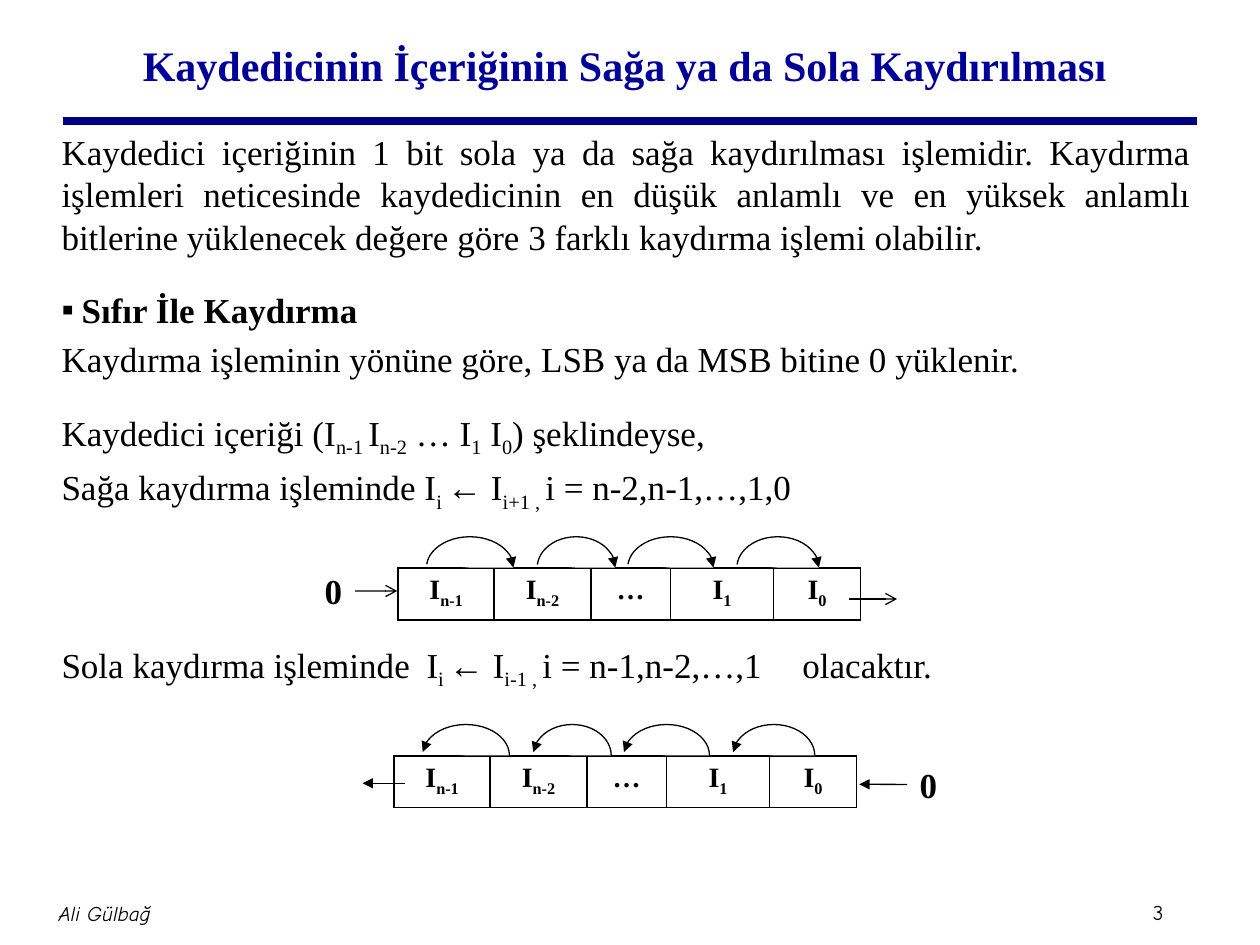
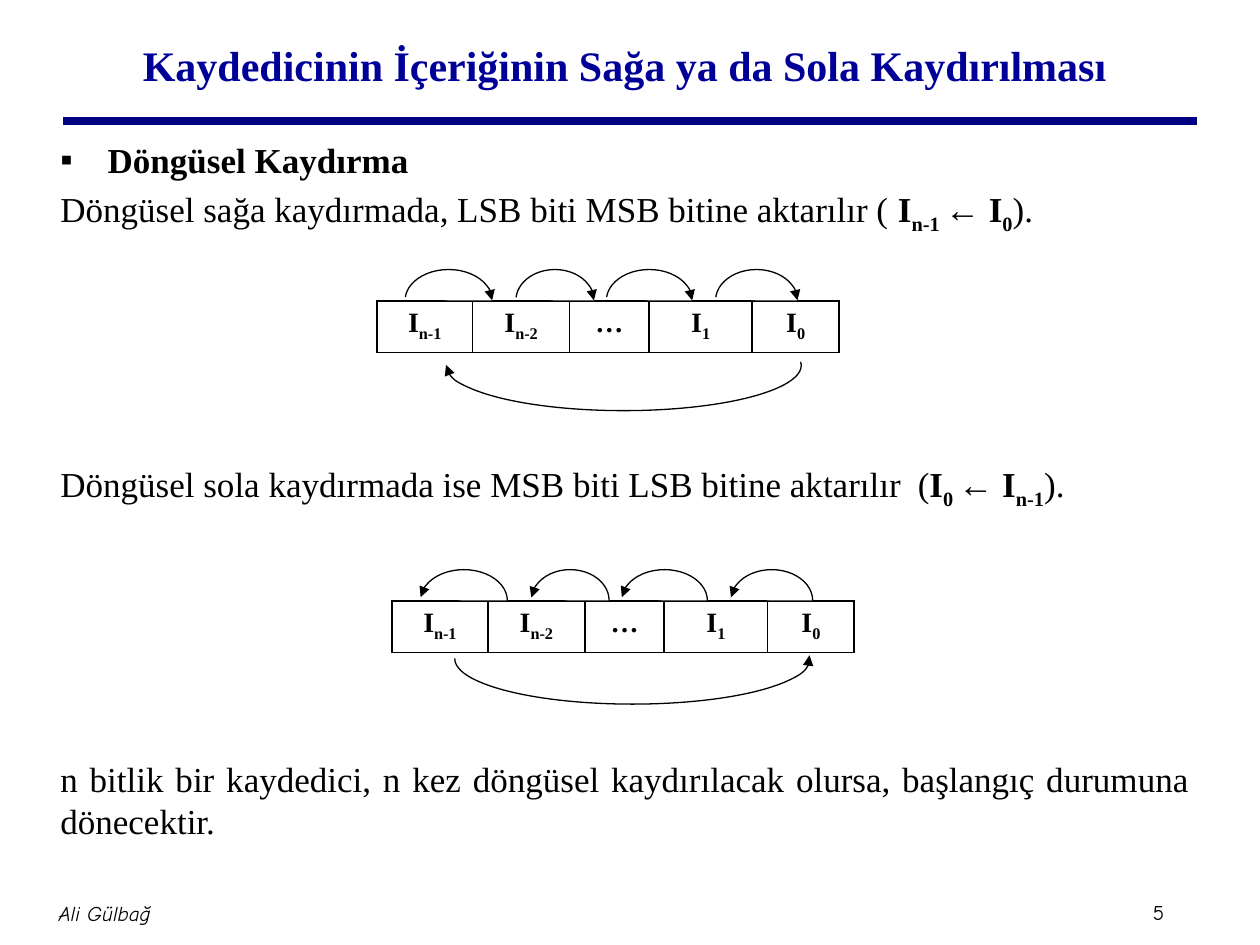
from dataclasses import dataclass
from itertools import accumulate

from lxml import etree
from pptx import Presentation
from pptx.dml import color
from pptx.enum import shapes, text
from pptx.oxml import ns
from pptx.util import Pt

RGB = color.RGBColor.from_string
ALIGN = text.PP_ALIGN


@dataclass(frozen=True)
class Theme:
    serif: str = "Times New Roman"
    casual: str = "Comic Neue"
    ink: str = "000000"
    paper: str = "FFFFFF"
    title: str = "000099"
    rule: str = "000080"
    title_size: float = 24
    body_size: float = 20
    cell_size: float = 16
    footer_size: float = 12
    rule_width: float = 4.5
    thin: float = 0.75
    border: float = 1
    para_gap: float = 4


TITLE = "Kaydedicinin İçeriğinin Sağa ya da Sola Kaydırılması"
AUTHOR = "Ali Gülbağ"
BITS = ["I~n-1~", "I~n-2~", "…", "I~1~", "I~0~"]
BIT_WIDTHS = [54.8, 55.4, 45.4, 59, 49.6]
REGISTER_HEIGHT = 29.5
HOPS = [(16.2, 49.7), (79.5, 44.6), (131.2, 49), (193.6, 46.8)]
HOP_RISE, HOP_HEIGHT = 18, 35.3
HOP_SWEEP = (110.68, 0)
LOOP_SWEEP = (215.31, 108.07)
LOOP_SIZE = (203, 51.8)


def add_xml(parent, tag, **attrs):
    return etree.SubElement(parent, ns.qn(tag), attrs)


class Deck:
    def __init__(self, theme):
        self.theme = theme
        self.prs = Presentation()
        self.prs.slide_width, self.prs.slide_height = Pt(720), Pt(540)
        self.s = None

    def slide(self, number):
        t = self.theme
        self.s = self.prs.slides.add_slide(self.prs.slide_layouts[6])
        self.line((36, 69), (684, 69), t.rule, t.rule_width)
        middle = text.MSO_ANCHOR.MIDDLE
        for box, words, align, italic in (
            ((655.2, 510.5, 34, 21.6), number, ALIGN.LEFT, False),
            ((9.8, 504, 100, 36), AUTHOR, ALIGN.CENTER, True),
        ):
            tf = self.box(*box, inset=3.6, anchor=middle)
            p = tf.paragraphs[0]
            self.put_text(p, words, t.footer_size, align=align, name=t.casual)
            p.font.italic = italic
        tf = self.box(51, 5.8, 612, 62, anchor=middle)
        self.put_text(tf.paragraphs[0], TITLE, t.title_size, t.title, ALIGN.CENTER, bold=True)

    def box(self, x, y, w, h, inset=None, anchor=text.MSO_ANCHOR.TOP):
        tf = self.s.shapes.add_textbox(Pt(x), Pt(y), Pt(w), Pt(h)).text_frame
        tf.word_wrap = True
        tf.vertical_anchor = anchor
        if inset is not None:
            tf.margin_left = tf.margin_right = Pt(inset)
            tf.margin_top = tf.margin_bottom = Pt(inset)
        return tf

    def put_text(self, p, words, size, ink=None, align=ALIGN.LEFT, name=None, bold=False):
        """*bold* and ~subscript~ mark up the words."""
        p.alignment = align
        p.font.size = Pt(size)
        p.font.name = name or self.theme.serif
        p.font.color.rgb = RGB(ink or self.theme.ink)
        p.font.bold = bold
        for i, part in enumerate(words.split("*")):
            for j, piece in enumerate(part.split("~")):
                if not piece:
                    continue
                r = p.add_run()
                r.text = piece
                if i % 2:
                    r.font.bold = True
                if j % 2:
                    r._r.get_or_add_rPr().set("baseline", "-25000")

    def body(self, x, y, h, paragraphs):
        tf = self.box(x, y, 659.5, h)
        for i, (words, extra, opts) in enumerate(paragraphs):
            p = tf.paragraphs[0] if i == 0 else tf.add_paragraph()
            pPr = p._p.get_or_add_pPr()
            if "bullet" in opts:
                hang = Pt(opts["bullet"])
                pPr.set("marL", str(hang))
                pPr.set("indent", str(-hang))
                add_xml(pPr, "a:buFont", typeface=self.theme.serif)
                add_xml(pPr, "a:buChar", char="▪")
            if "tabs" in opts:
                tabs = add_xml(pPr, "a:tabLst")
                for pos in opts["tabs"]:
                    add_xml(tabs, "a:tab", pos=str(Pt(pos)), algn="l")
            p.space_before = Pt(self.theme.para_gap + extra)
            self.put_text(p, words, self.theme.body_size,
                          align=opts.get("align", ALIGN.LEFT), bold="bullet" in opts)

    def stroke(self, sp, ink, width, head=None, tail=None):
        sp.line.color.rgb = RGB(ink)
        sp.line.width = Pt(width)
        ln = sp._element.spPr.find(ns.qn("a:ln"))
        for tag, kind in (("a:headEnd", head), ("a:tailEnd", tail)):
            if kind:
                add_xml(ln, tag, type=kind)

    def line(self, start, end, ink=None, width=None, head=None, tail=None):
        sp = self.s.shapes.add_connector(
            shapes.MSO_CONNECTOR.STRAIGHT, *(Pt(v) for v in (*start, *end)))
        self.stroke(sp, ink or self.theme.ink, width or self.theme.thin, head, tail)
        add_xml(sp._element.spPr, "a:effectLst")
        return sp

    def arc(self, x, y, w, h, sweep, head=None, tail=None):
        sp = self.s.shapes.add_shape(shapes.MSO_SHAPE.ARC, Pt(x), Pt(y), Pt(w), Pt(h))
        sp.shadow.inherit = False
        sp.adjustments[0], sp.adjustments[1] = sweep
        sp.fill.solid()
        sp.fill.fore_color.rgb = RGB(self.theme.paper)
        self.stroke(sp, self.theme.ink, self.theme.thin, head, tail)

    def zero(self, x, y):
        tf = self.box(x, y, 24.5, 31.5)
        self.put_text(tf.paragraphs[0], "0", self.theme.body_size, bold=True)
        return self.s.shapes[-1]

    def border(self, cell):
        tcPr = cell._tc.get_or_add_tcPr()
        for side in "LRTB":
            ln = add_xml(tcPr, f"a:ln{side}", w=str(Pt(self.theme.border)))
            add_xml(add_xml(ln, "a:solidFill"), "a:srgbClr", val=self.theme.ink)

    def register(self, x, y, **ends):
        table = self.s.shapes.add_table(
            1, len(BITS), Pt(x), Pt(y), Pt(sum(BIT_WIDTHS)), Pt(REGISTER_HEIGHT)).table
        table.first_row = table.horz_banding = False
        edges = [Pt(v) for v in accumulate(BIT_WIDTHS, initial=0)]
        for i, bit in enumerate(BITS):
            table.columns[i].width = edges[i + 1] - edges[i]
            cell = table.cell(0, i)
            self.border(cell)
            cell.fill.solid()
            cell.fill.fore_color.rgb = RGB(self.theme.paper)
            self.put_text(cell.text_frame.paragraphs[0], bit, self.theme.cell_size,
                          align=ALIGN.CENTER, bold=True)
        for dx, w in HOPS:
            self.arc(x + dx, y - HOP_RISE, w, HOP_HEIGHT, HOP_SWEEP, **ends)


def zero_fill(deck):
    deck.slide("3")
    deck.body(28.1, 71.3, 430, [
        ("Kaydedici içeriğinin 1 bit sola ya da sağa kaydırılması işlemidir. Kaydırma "
         "işlemleri neticesinde kaydedicinin en düşük anlamlı ve en yüksek anlamlı "
         "bitlerine yüklenecek değere göre 3 farklı kaydırma işlemi olabilir.",
         0, {"align": ALIGN.JUSTIFY}),
        ("Sıfır İle Kaydırma", 14, {"bullet": 11.5}),
        ("Kaydırma işleminin yönüne göre, LSB ya da MSB bitine 0 yüklenir.", 0, {}),
        ("Kaydedici içeriği (I~n-1 ~I~n-2~ … I~1~ I~0~) şeklindeyse,", 14, {}),
        ("Sağa kaydırma işleminde I~i ~← I~i+1 , ~i = n-2,n-1,…,1,0", 0, {}),
        ("Sola kaydırma işleminde\tI~i ~← I~i-1 , ~i = n-1,n-2,…,1\tolacaktır.",
         70, {"tabs": [208.6, 423.4]}),
    ])
    deck.register(227.5, 324.7, tail="triangle")
    zero = deck.zero(178.5, 322)
    deck.line((203, 337.7), (227, 337.7), tail="arrow").begin_connect(zero, 3)
    deck.line((485, 342.3), (512.6, 342.3), tail="arrow")

    deck.register(225.2, 432, head="triangle")
    deck.line((207.2, 447.6), (231.6, 447.6), head="triangle")
    zero = deck.zero(518.4, 432.5)
    deck.line((491, 448.2), (518.4, 448.2), head="triangle").end_connect(zero, 1)


def circular(deck):
    deck.slide("5")
    deck.body(27.4, 75.6, 432.7, [
        ("Döngüsel Kaydırma", 0, {"bullet": 27}),
        ("Döngüsel sağa kaydırmada, LSB biti MSB bitine aktarılır ( "
         "*I~n-1 ~← I~0~*).", 0, {}),
        ("Döngüsel sola kaydırmada ise MSB biti LSB bitine aktarılır\t"
         "(*I~0 ~← I~n-1~*).", 126, {"tabs": [490]}),
        ("n bitlik bir kaydedici, n kez döngüsel kaydırılacak olursa, başlangıç "
         "durumuna dönecektir.", 137.2, {"align": ALIGN.JUSTIFY}),
    ])
    for register, loop, ends in (
        ((215.3, 172), (254.9, 182.9), {"tail": "triangle"}),
        ((224, 343.5), (259.9, 350.6), {"head": "triangle"}),
    ):
        deck.register(*register, **ends)
        deck.arc(*loop, *LOOP_SIZE, LOOP_SWEEP, **ends)


def main():
    deck = Deck(Theme())
    zero_fill(deck)
    circular(deck)
    deck.prs.save("out.pptx")


if __name__ == "__main__":
    main()
